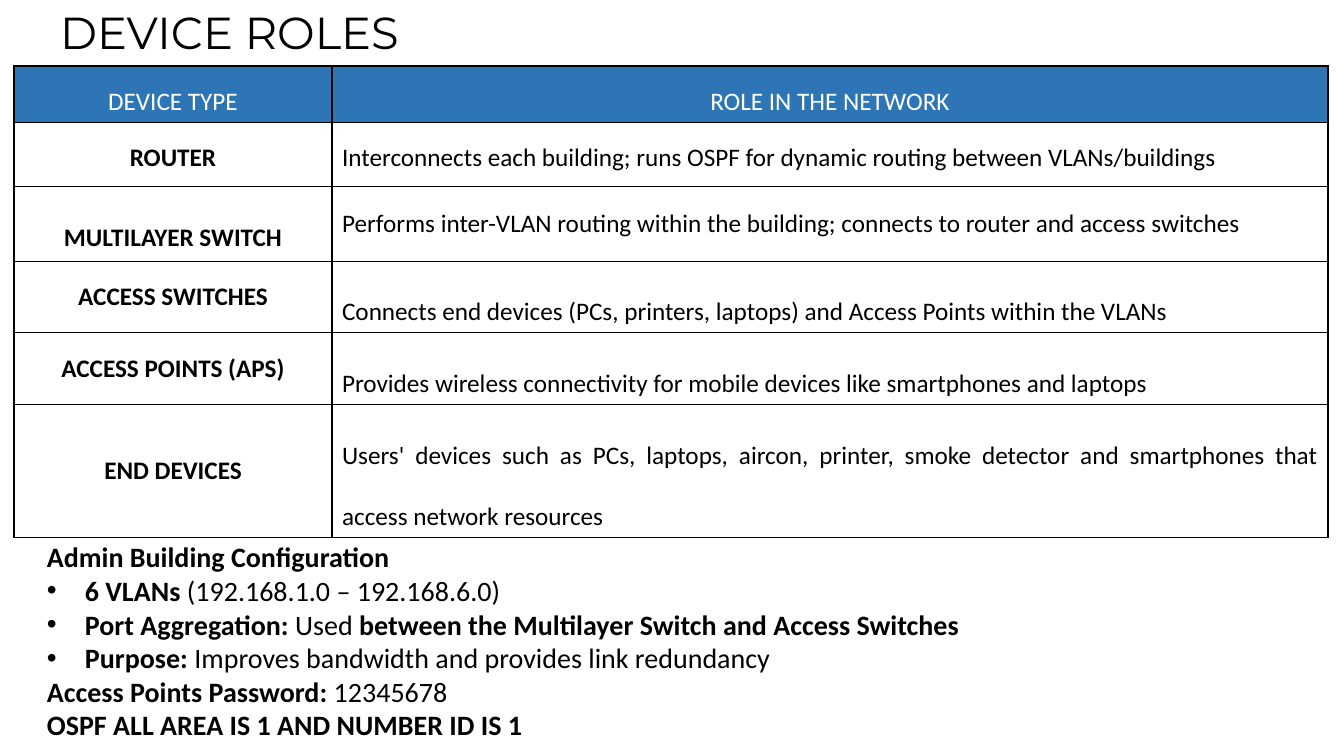
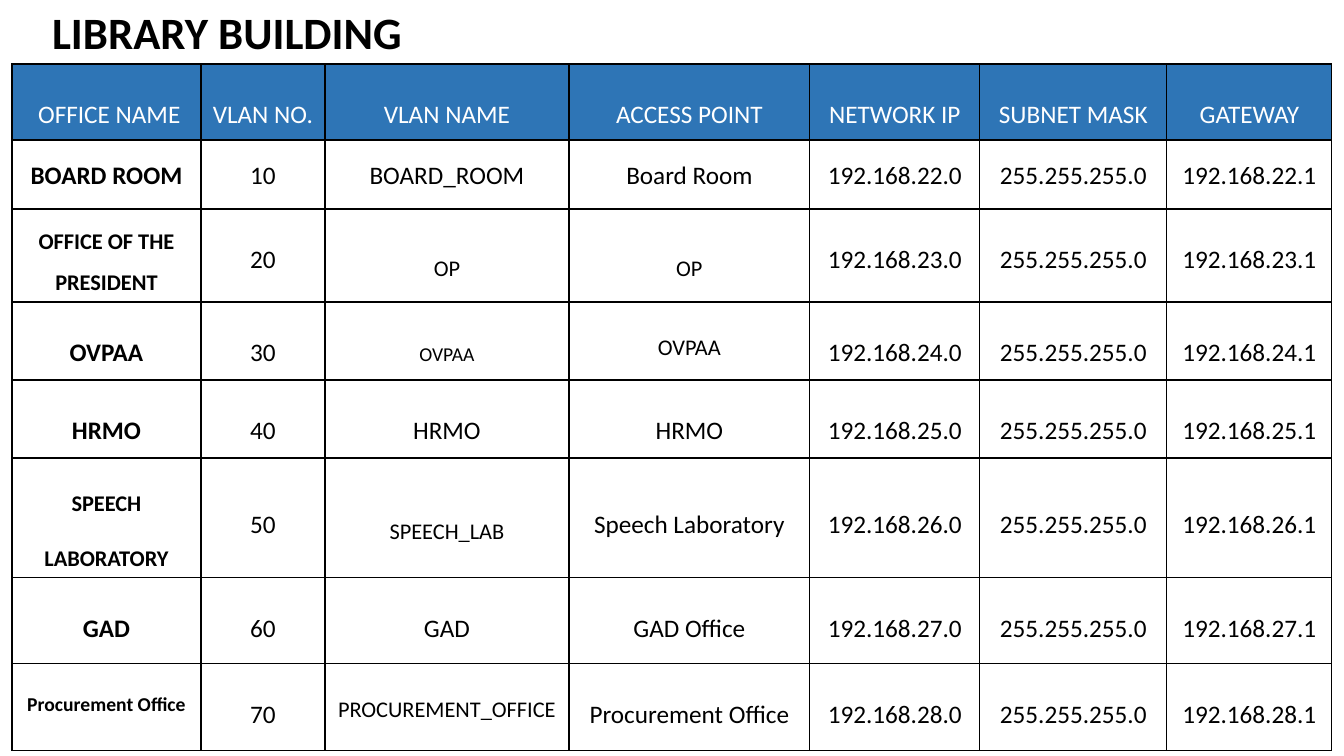
from lxml import etree
from pptx import Presentation
from pptx.dml.color import RGBColor
from pptx.enum.text import MSO_ANCHOR, MSO_AUTO_SIZE, PP_ALIGN
from pptx.oxml.ns import qn
from pptx.util import Emu, Pt

TOP, MIDDLE = MSO_ANCHOR.TOP, MSO_ANCHOR.MIDDLE
NO_FIT = MSO_AUTO_SIZE.NONE
LEFT, CENTER, JUSTIFY = PP_ALIGN.LEFT, PP_ALIGN.CENTER, PP_ALIGN.JUSTIFY

PX_PER_INCH = 100.8
SLIDE_W, SLIDE_H = 1344, 756
BODY_FONT, TITLE_FONT = "Calibri", "Montserrat"
TITLE_SIZE, CELL_SIZE, NOTE_SIZE = 32, 18, 20
COLORS = {"text": "000000", "header": "2E75B6", "header_text": "FFFFFF", "border": "000000"}

ROLES = [
    ["DEVICE TYPE", "ROLE IN THE NETWORK"],
    ["ROUTER", "Interconnects each building; runs OSPF for dynamic routing between VLANs/buildings"],
    ["MULTILAYER SWITCH", "Performs inter-VLAN routing within the building; connects to router and access switches"],
    ["ACCESS SWITCHES", "Connects end devices (PCs, printers, laptops) and Access Points within the VLANs"],
    ["ACCESS POINTS (APS)", "Provides wireless connectivity for mobile devices like smartphones and laptops"],
    ["END DEVICES", "Users' devices such as PCs, laptops, aircon, printer, smoke detector "
                    "and smartphones that access network resources"],
]
ROLE_SPACING = [1.5, 1.5, 2, 2, 2, 2]
ROLE_STYLES = {(2, 1): (18, 1), (3, 0): (18, 1.5), (4, 0): (18, 1.5), (5, 0): (18, 1.5)}

CONFIG = [
    (False, [("Admin Building Configuration", True)]),
    (True, [("6 VLANs", True), (" (192.168.1.0 – 192.168.6.0)", False)]),
    (True, [("Port Aggregation:", True), (" Used ", False),
            ("between the Multilayer Switch and Access Switches", True)]),
    (True, [("Purpose:", True), (" Improves bandwidth and provides link redundancy", False)]),
    (False, [("Access Points Password:", True), (" 12345678", False)]),
    (False, [("OSPF ALL AREA IS 1 AND NUMBER ID IS 1", True)]),
]

VLAN_HEADER = [" OFFICE NAME", "VLAN NO.", "VLAN NAME", "ACCESS POINT",
               "NETWORK IP", "SUBNET MASK", "GATEWAY"]
OFFICES = [
    ("BOARD ROOM", "BOARD_ROOM", "Board Room"),
    ("OFFICE OF THE PRESIDENT", "OP", "OP"),
    ("OVPAA", "OVPAA", "OVPAA"),
    ("HRMO", "HRMO", "HRMO"),
    ("SPEECH LABORATORY", "SPEECH_LAB", "Speech Laboratory"),
    ("GAD", "GAD", "GAD Office"),
    ("Procurement Office", "PROCUREMENT_OFFICE", "Procurement Office"),
]
VLAN_SPACING = [2, 1.5, 2, 2, 2, 2.5, 2, 2]
VLAN_STYLES = {
    (2, 0): (16, 1.5), (2, 2): (16, 2.5), (2, 3): (16, 2.5),
    (3, 2): (14, 2.5), (3, 3): (16, 2),
    (5, 0): (16, 2), (5, 2): (16, 3),
    (7, 0): (14, 2), (7, 2): (16, 2),
}


def px(n):
    """Turn px into EMU."""
    return Emu(round(n * 914400 / PX_PER_INCH))


def add_run(p, text, size, bold=False, color="text", font=BODY_FONT):
    """Add one formatted run to a paragraph."""
    r = p.add_run()
    r.text = text
    r.font.size = Pt(size)
    r.font.bold = bold
    r.font.name = font
    r.font.color.rgb = RGBColor.from_string(COLORS[color])


def set_title(s, x, w, text, bold=False, font=BODY_FONT):
    """Place and fill the title placeholder along the top edge."""
    sp = s.shapes.title
    sp.left, sp.top, sp.width, sp.height = px(x), px(0), px(w), px(64)
    tf = sp.text_frame
    tf.word_wrap = True
    tf.auto_size = NO_FIT
    tf.vertical_anchor = TOP
    p = tf.paragraphs[0]
    p.alignment = LEFT
    add_run(p, text, TITLE_SIZE, bold, font=font)


def set_borders(cell):
    """Draw a thin line on all four sides of a cell."""
    tc_pr = cell._tc.get_or_add_tcPr()
    for i, side in enumerate(("a:lnL", "a:lnR", "a:lnT", "a:lnB")):
        ln = etree.Element(qn(side), w=str(Pt(1)))
        fill = etree.SubElement(ln, qn("a:solidFill"))
        etree.SubElement(fill, qn("a:srgbClr"), val=COLORS["border"])
        tc_pr.insert(i, ln)


def add_grid(s, x, y, cols, rows, data, spacing, styles, body_align):
    """Add a bordered table with a blue header and a bold first column."""
    frame = s.shapes.add_table(len(rows), len(cols), px(x), px(y), px(sum(cols)), px(sum(rows)))
    table = frame.table
    table.first_row = table.horz_banding = False
    for col, w in zip(table.columns, cols):
        col.width = px(w)
    for i, (row, h) in enumerate(zip(table.rows, rows)):
        row.height = px(h)
        for j, cell in enumerate(row.cells):
            header = i == 0
            size, lines = styles.get((i, j), (CELL_SIZE, spacing[i]))
            if header:
                cell.fill.solid()
                cell.fill.fore_color.rgb = RGBColor.from_string(COLORS["header"])
            else:
                cell.fill.background()
            set_borders(cell)
            p = cell.text_frame.paragraphs[0]
            p.alignment = CENTER if header or j == 0 else body_align
            p.line_spacing = float(lines)
            add_run(p, data[i][j], size, not header and j == 0, "header_text" if header else "text")
    return table


def add_config(s, x, y, w, h):
    """Add the configuration notes with their bullets."""
    tf = s.shapes.add_textbox(px(x), px(y), px(w), px(h)).text_frame
    tf.word_wrap = True
    for i, (bullet, runs) in enumerate(CONFIG):
        p = tf.add_paragraph() if i else tf.paragraphs[0]
        if bullet:
            p_pr = p._p.get_or_add_pPr()
            p_pr.set("marL", str(px(38)))
            p_pr.set("indent", str(-px(38)))
            etree.SubElement(p_pr, qn("a:buFont"), typeface="Arial")
            etree.SubElement(p_pr, qn("a:buChar"), char="•")
        for text, bold in runs:
            add_run(p, text, NOTE_SIZE, bold)


def build_roles(s):
    """Build the slide of device roles."""
    set_title(s, 50, 1290, "DEVICE ROLES", font=TITLE_FONT)
    table = add_grid(s, 14, 66, [318, 996], [56, 64, 75, 71, 71, 131],
                     ROLES, ROLE_SPACING, ROLE_STYLES, JUSTIFY)
    table.cell(2, 1).vertical_anchor = MIDDLE
    table.cell(5, 0).margin_top = px(36)
    add_config(s, 37, 535, 972, 214)


def build_library(s):
    """Build the slide of library building VLANs."""
    set_title(s, 42, 391, "LIBRARY BUILDING", bold=True)
    data = [VLAN_HEADER]
    for i, (office, vlan, access_point) in enumerate(OFFICES):
        net = f"192.168.{22 + i}"
        data.append([office, str(10 * (i + 1)), vlan, access_point,
                     f"{net}.0", "255.255.255.0", f"{net}.1"])
    add_grid(s, 12, 64, [189, 124, 244, 241, 170, 187, 165], [76, 69, 93, 78, 78, 120, 86, 87],
             data, VLAN_SPACING, VLAN_STYLES, CENTER)


def main():
    """Build and save the presentation."""
    prs = Presentation()
    prs.slide_width, prs.slide_height = px(SLIDE_W), px(SLIDE_H)
    for build in (build_roles, build_library):
        build(prs.slides.add_slide(prs.slide_layouts[5]))
    prs.save("out.pptx")


if __name__ == "__main__":
    main()
